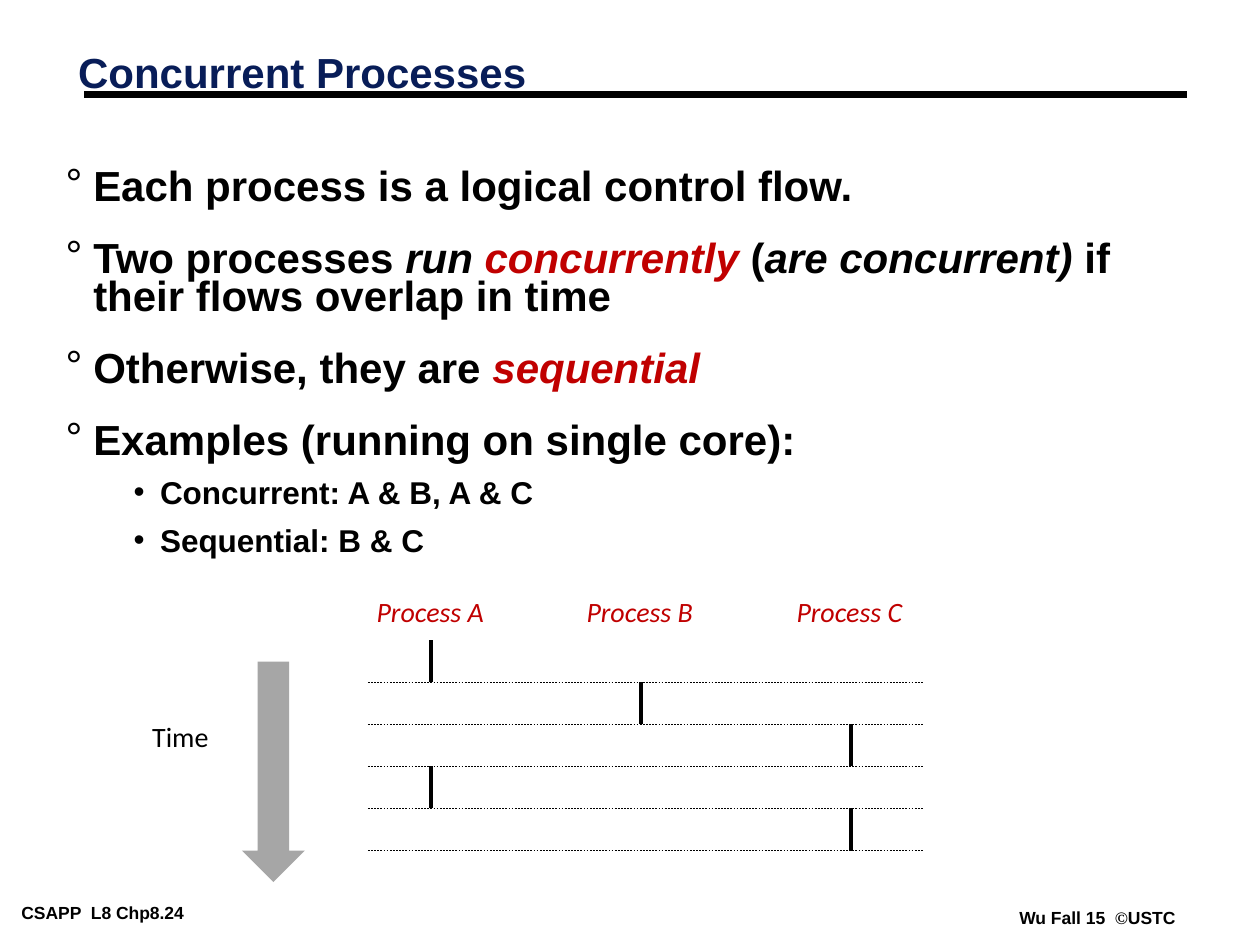
from lxml import etree
from pptx import Presentation
from pptx.dml.color import RGBColor
from pptx.enum.dml import MSO_LINE
from pptx.enum.shapes import MSO_CONNECTOR, MSO_SHAPE
from pptx.enum.text import MSO_ANCHOR, MSO_AUTO_SIZE, PP_ALIGN
from pptx.oxml.ns import qn
from pptx.util import Inches, Pt

STRAIGHT = MSO_CONNECTOR.STRAIGHT
DOWN_ARROW = MSO_SHAPE.DOWN_ARROW
DASH = MSO_LINE.DASH
TOP = MSO_ANCHOR.TOP
LEFT = PP_ALIGN.LEFT
FIXED = MSO_AUTO_SIZE.NONE
GROW = MSO_AUTO_SIZE.SHAPE_TO_FIT_TEXT

BLACK, NAVY, RED, GRAY = "000000", "081D58", "C00000", "A6A6A6"

POINTS = [
    (0, [("Each process is a logical control flow.", {})]),
    (0, [
        ("Two processes ", {}),
        ("run ", {"italic": True}),
        ("concurrently", {"italic": True, "color": RED}),
        (" (", {}),
        ("are concurrent)", {"italic": True}),
        (" if their flows overlap in time", {}),
    ]),
    (0, [("Otherwise, they are ", {}), ("sequential", {"italic": True, "color": RED})]),
    (0, [("Examples (running on single core):", {})]),
    (1, [("Concurrent: A & B, A & C", {})]),
    (1, [("Sequential: B & C", {})]),
]
LEVELS = [
    {"bullet": "°", "margin": 0.22, "indent": -0.22, "spacing": 0.75, "before": 19.5, "size": 24},
    {"bullet": "•", "margin": 0.75, "indent": -0.21, "spacing": 0.85, "before": 9, "size": 18},
]
PROCESSES = ["A", "B", "C"]
SCHEDULE = "ABCAC"


def rgb(value):
    return RGBColor.from_string(value)


def add_span(para, text, size=16, color=BLACK, name="Arial", bold=False, italic=False):
    span = para.add_run()
    span.text = text
    font = span.font
    font.size, font.name, font.bold, font.italic = Pt(size), name, bold, italic
    font.color.rgb = rgb(color)


def set_frame(frame, side, end, fit, wrap):
    frame.margin_left = frame.margin_right = Inches(side)
    frame.margin_top = frame.margin_bottom = Inches(end)
    frame.vertical_anchor = TOP
    frame.auto_size = fit
    frame.word_wrap = wrap


def add_label(page, area, spans, side=0.1, end=0.05, wrap=False):
    box = page.shapes.add_textbox(*map(Inches, area))
    set_frame(box.text_frame, side, end, GROW, wrap)
    for text, style in spans:
        add_span(box.text_frame.paragraphs[0], text, **style)


def add_line(page, start, end, width, dash=None):
    line = page.shapes.add_connector(STRAIGHT, *map(Inches, (*start, *end)))
    line.line.color.rgb = rgb(BLACK)
    line.line.width = Pt(width)
    if dash:
        line.line.dash_style = dash
    etree.SubElement(line._element.spPr, qn("a:effectLst"))


def place(holder, area):
    holder.left, holder.top, holder.width, holder.height = map(Inches, area)
    set_frame(holder.text_frame, 0.07, 0.03, FIXED, True)
    return holder.text_frame


def format_point(para, bullet, margin, indent, spacing, before):
    props = para._p.get_or_add_pPr()
    props.set("marL", str(Inches(margin)))
    props.set("indent", str(Inches(indent)))
    color = etree.SubElement(props, qn("a:buClr"))
    etree.SubElement(color, qn("a:srgbClr"), val=BLACK)
    etree.SubElement(props, qn("a:buChar"), char=bullet)
    para.line_spacing = spacing
    para.space_before = Pt(before)


def fill_title(page, area):
    para = place(page.shapes.title, area).paragraphs[0]
    para.alignment = LEFT
    para.line_spacing = 0.87
    add_span(para, "Concurrent Processes", size=24, color=NAVY, bold=True)


def fill_body(page, area):
    frame = place(page.placeholders[1], area)
    for index, (level, spans) in enumerate(POINTS):
        para = frame.paragraphs[0] if index == 0 else frame.add_paragraph()
        para.level = level
        style = dict(LEVELS[level])
        size = style.pop("size")
        if index == 0:
            style["before"] = 0
        format_point(para, **style)
        for text, look in spans:
            add_span(para, text, size=size, bold=True, **look)


def draw_time_arrow(page, area):
    left, top, width, height = area
    add_label(page, (left, top + 0.41, 0.89, 0.37), [("Time", {"name": "Calibri"})], wrap=True)
    arrow = page.shapes.add_shape(
        DOWN_ARROW, *map(Inches, (left + width - 0.5, top, 0.5, height)))
    arrow.shadow.inherit = False
    arrow.fill.solid()
    arrow.fill.fore_color.rgb = rgb(GRAY)
    arrow.line.fill.background()


def draw_timeline(page, area):
    left, top, width, height = area
    header = 0.41
    step = (height - header) / len(SCHEDULE)
    lanes = {name: left + 0.5 + index * 5 / 3 for index, name in enumerate(PROCESSES)}
    for name, center in lanes.items():
        add_label(page, (center - 0.53, top, 1.05, 0.37),
                  [(f"Process {name}", {"name": "Calibri", "color": RED, "italic": True})])
    for index, name in enumerate(SCHEDULE):
        start = top + header + index * step
        end = start + step
        add_line(page, (lanes[name], start), (lanes[name], end), 2)
        add_line(page, (left, end), (left + width, end), 0.25, DASH)


def add_footer(page, area, parts):
    spans = [(text, {"size": 10, "bold": True, "name": name}) for text, name in parts]
    add_label(page, area, spans, side=0.07, end=0.03)


def main():
    deck = Presentation()
    deck.slide_width, deck.slide_height = Inches(10), Inches(7.5)
    page = deck.slides.add_slide(deck.slide_layouts[1])
    add_footer(page, (0.1, 7.13, 1.95, 0.22), [("CSAPP  L8 Chp8.24", "Arial")])
    add_footer(page, (8.02, 7.17, 1.38, 0.22),
               [("Wu Fall 15  ", "Arial"), ("©", "Times New Roman"), ("USTC", "Arial")])
    add_line(page, (0.67, 0.75), (9.42, 0.75), 4.5)
    fill_title(page, (0.55, 0.39, 6.64, 0.63))
    fill_body(page, (0.45, 1.33, 8.64, 3.13))
    draw_timeline(page, (2.92, 4.67, 4.41, 2.08))
    draw_time_arrow(page, (1.11, 5.25, 1.31, 1.75))
    deck.save("out.pptx")


if __name__ == "__main__":
    main()
